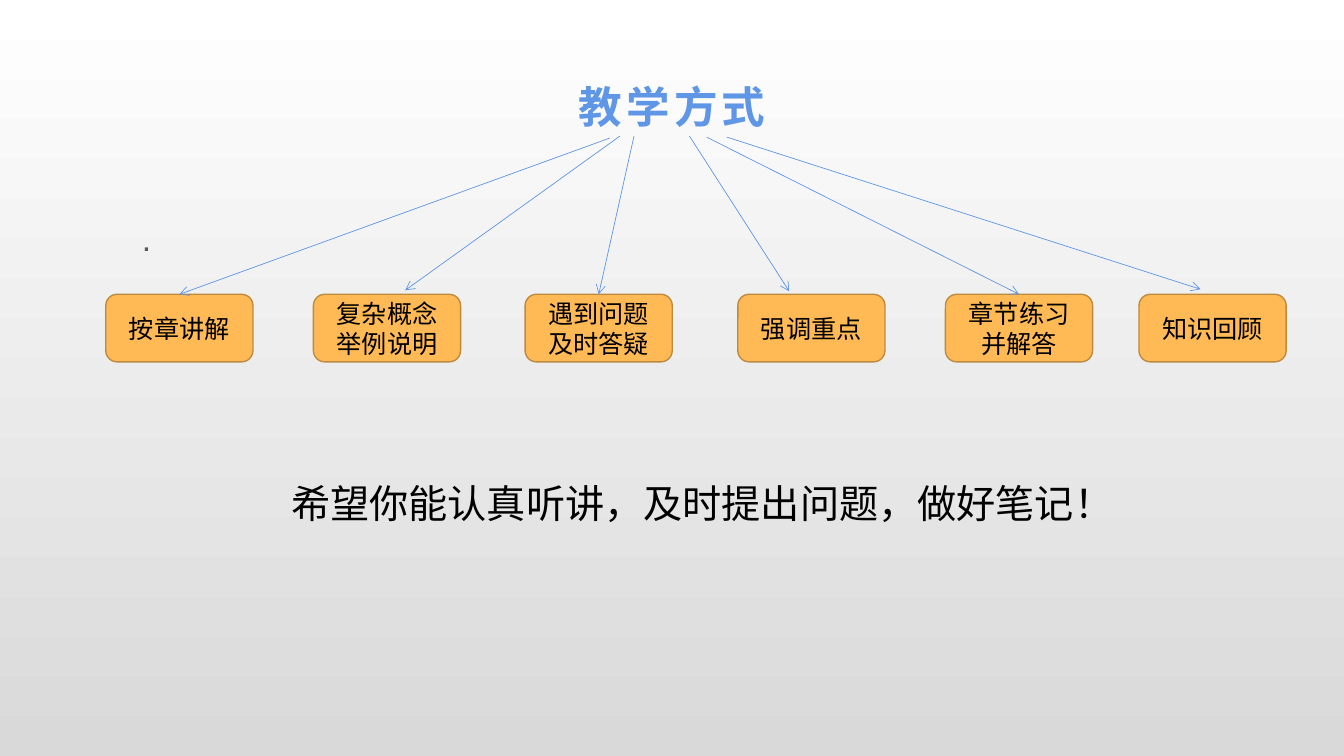
from dataclasses import dataclass

from lxml.etree import SubElement
from pptx import Presentation
from pptx.dml.color import RGBColor
from pptx.enum.shapes import MSO_CONNECTOR, MSO_SHAPE
from pptx.enum.text import MSO_ANCHOR, PP_ALIGN
from pptx.oxml.ns import qn
from pptx.util import Pt


@dataclass(frozen=True)
class Theme:
    font: str = "Arial"
    blue: str = "6096E6"
    gold: str = "FFBA55"
    edge: str = "BD8A3F"
    ink: str = "000000"
    gray: str = "595959"
    top: str = "FFFFFF"
    base: str = "D9D9D9"
    head: float = 31.1
    note: float = 28
    sub: float = 24
    label: float = 18


THEME = Theme()
BOX_TOP, BOX_W, BOX_H = 210.24, 105.12, 48.24

# label, left edge, arrow start, arrow end (None: joined to the box top)
METHODS = [
    ("按章讲解", 75.6, (435.6, 98.64), None),
    ("复杂概念举例说明", 223.92, (442.8, 97.2), (289.44, 207.36)),
    ("遇到问题及时答疑", 375.12, (452.88, 97.2), None),
    ("强调重点", 527.04, (492.48, 97.2), (563.76, 208.08)),
    ("章节练习并解答", 675.36, (504.72, 97.92), None),
    ("知识回顾", 813.6, (519.12, 97.92), (857.52, 206.64)),
]


def color(code):
    return RGBColor.from_string(code)


def write(shape, text, *, size, ink=THEME.ink, bold=False, track=0,
          align=PP_ALIGN.LEFT, anchor=MSO_ANCHOR.TOP, lead=1.0, after=0):
    """Set the text of a shape; track is letter spacing in points."""
    frame = shape.text_frame
    frame.word_wrap = True
    frame.vertical_anchor = anchor
    para = frame.paragraphs[0]
    para.alignment = align
    para.line_spacing = lead
    para.space_after = Pt(after)
    run = para.add_run()
    run.text = text
    font = run.font
    font.name, font.size, font.bold = THEME.font, Pt(size), bold
    font.color.rgb = color(ink)
    props = run._r.get_or_add_rPr()
    SubElement(props, qn("a:ea")).set("typeface", THEME.font)
    if track:
        props.set("spc", str(track * 100))


def paint(slide):
    """Fill the background from top to bottom."""
    fill = slide.background.fill
    fill.gradient()
    fill.gradient_angle = 270
    for stop, code, place in zip(fill.gradient_stops,
                                 (THEME.top, THEME.base), (0, 1)):
        stop.color.rgb = color(code)
        stop.position = place


def add_title(slide, text):
    title = slide.shapes.title
    title.left, title.top = Pt(94.32), Pt(43.2)
    title.width, title.height = Pt(771.84), Pt(54.72)
    write(title, text, size=THEME.head, ink=THEME.blue, bold=True, track=3,
          align=PP_ALIGN.CENTER, anchor=MSO_ANCHOR.BOTTOM)


def add_text(slide, text, left, top, width, height, **style):
    box = slide.shapes.add_textbox(Pt(left), Pt(top), Pt(width), Pt(height))
    write(box, text, **style)


def add_box(slide, text, left):
    box = slide.shapes.add_shape(MSO_SHAPE.ROUNDED_RECTANGLE, Pt(left),
                                 Pt(BOX_TOP), Pt(BOX_W), Pt(BOX_H))
    box.shadow.inherit = False
    box.fill.solid()
    box.fill.fore_color.rgb = color(THEME.gold)
    box.line.color.rgb = color(THEME.edge)
    box.line.width = Pt(1)
    write(box, text, size=THEME.label, align=PP_ALIGN.CENTER,
          anchor=MSO_ANCHOR.MIDDLE)
    return box


def add_arrow(slide, start, end, box):
    """Draw to the end point, or to the top of the box if there is none."""
    x, y = end or start
    line = slide.shapes.add_connector(MSO_CONNECTOR.STRAIGHT, Pt(start[0]),
                                      Pt(start[1]), Pt(x), Pt(y))
    if end is None:
        line.end_connect(box, 0)
    line.line.color.rgb = color(THEME.blue)
    line.line.width = Pt(0.5)
    SubElement(line.line._get_or_add_ln(), qn("a:tailEnd")).set("type", "arrow")
    SubElement(line._element.spPr, qn("a:effectLst"))


def main():
    deck = Presentation()
    deck.slide_width, deck.slide_height = Pt(960), Pt(540)
    slide = deck.slides.add_slide(deck.slide_layouts[5])
    paint(slide)
    add_title(slide, "教学方式")
    add_text(slide, ".", 94.32, 149.04, 814.32, 180, size=THEME.sub,
             ink=THEME.gray, track=2, lead=1.1, after=10)
    boxes = [add_box(slide, text, left) for text, left, _, _ in METHODS]
    for box, (_, _, start, end) in zip(boxes, METHODS):
        add_arrow(slide, start, end, box)
    add_text(slide, "希望你能认真听讲，及时提出问题，做好笔记！",
             200.88, 339.12, 579.6, 41.04, size=THEME.note)
    deck.save("out.pptx")


if __name__ == "__main__":
    main()
